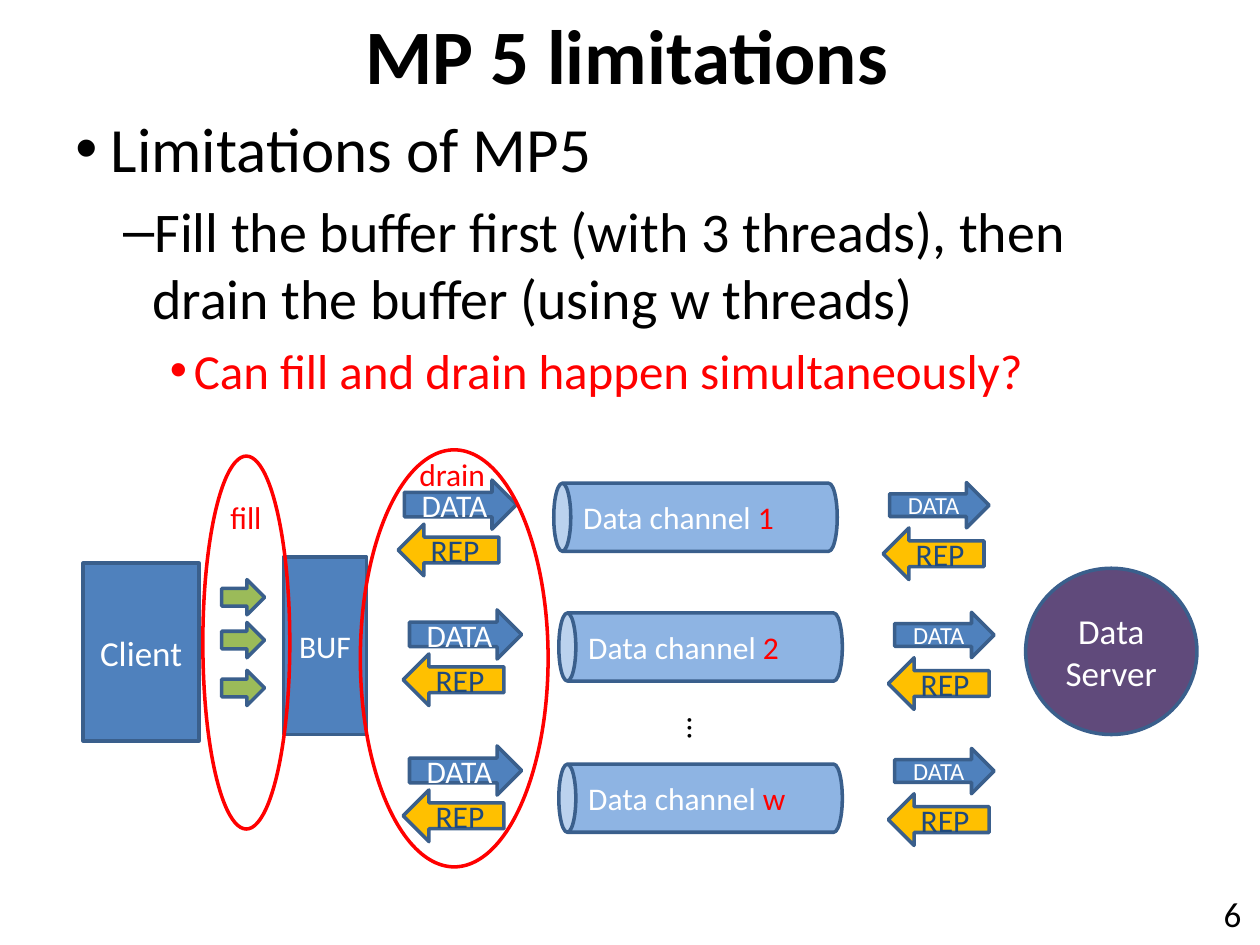
from lxml import etree
from pptx import Presentation
from pptx.dml.color import RGBColor
from pptx.enum.shapes import MSO_SHAPE
from pptx.enum.text import MSO_ANCHOR, PP_ALIGN
from pptx.oxml.ns import qn
from pptx.util import Inches, Pt

RECTANGLE, OVAL, CAN = MSO_SHAPE.RECTANGLE, MSO_SHAPE.OVAL, MSO_SHAPE.CAN
RIGHT_ARROW, LEFT_ARROW = MSO_SHAPE.RIGHT_ARROW, MSO_SHAPE.LEFT_ARROW
TOP, MIDDLE = MSO_ANCHOR.TOP, MSO_ANCHOR.MIDDLE
LEFT, CENTER, RIGHT = PP_ALIGN.LEFT, PP_ALIGN.CENTER, PP_ALIGN.RIGHT

BLACK, WHITE, RED = "000000", "FFFFFF", "FF0000"
BLUE, NAVY, OUTLINE = "4F81BD", "1F497D", "3A5F8C"
LIGHT_BLUE, PURPLE, GREEN, AMBER = "8EB4E3", "604A7B", "9BBB59", "FFC000"


def color(hex_text):
    return RGBColor.from_string(hex_text)


class Diagram:
    font = "Calibri"
    line_width = Pt(2)

    def __init__(self, slide):
        self.slide = slide

    def format_run(self, run, size, hex_text, bold=False):
        run.font.name = self.font
        run.font.size = Pt(size)
        run.font.bold = bold
        run.font.color.rgb = color(hex_text)

    def set_text(self, shape, text, size, hex_text, align, anchor, bold=False):
        frame = shape.text_frame
        frame.text = text
        frame.vertical_anchor = anchor
        for paragraph in frame.paragraphs:
            paragraph.alignment = align
            for run in paragraph.runs:
                self.format_run(run, size, hex_text, bold)

    def set_vertical(self, shape):
        shape.text_frame._txBody.bodyPr.set("vert", "eaVert")

    def shape(self, kind, box, fill=None, text="", size=18,
              text_color=WHITE, line=OUTLINE):
        shape = self.slide.shapes.add_shape(kind, *map(Inches, box))
        shape.shadow.inherit = False
        if fill:
            shape.fill.solid()
            shape.fill.fore_color.rgb = color(fill)
        else:
            shape.fill.background()
        shape.line.color.rgb = color(line)
        shape.line.width = self.line_width
        if text:
            self.set_text(shape, text, size, text_color, CENTER, MIDDLE)
        return shape

    def channel(self, box, name):
        can = self.shape(CAN, box, LIGHT_BLUE, "Data channel ")
        can.rotation = 270
        self.set_vertical(can)
        run = can.text_frame.paragraphs[0].add_run()
        run.text = name
        self.format_run(run, 18, RED)

    def label(self, box, text, size=18, hex_text=BLACK, align=LEFT,
              anchor=TOP, bold=False, wrap=False):
        label = self.slide.shapes.add_textbox(*map(Inches, box))
        label.text_frame.word_wrap = wrap
        self.set_text(label, text, size, hex_text, align, anchor, bold)
        return label

    def add_text_shadow(self, label):
        for run in label.text_frame.paragraphs[0].runs:
            effects = etree.Element(qn("a:effectLst"))
            shadow = etree.SubElement(effects, qn("a:outerShdw"), blurRad="38100",
                                      dist="38100", dir="2700000", algn="tl")
            black = etree.SubElement(shadow, qn("a:srgbClr"), val=BLACK)
            etree.SubElement(black, qn("a:alpha"), val="43000")
            run.font._element.find(qn("a:latin")).addprevious(effects)

    def bullets(self, box, items):
        body = self.slide.shapes.add_textbox(*map(Inches, box))
        frame = body.text_frame
        frame.word_wrap = True
        frame.text = "\n".join(item[0] for item in items)
        for level, (paragraph, item) in enumerate(zip(frame.paragraphs, items)):
            _, size, hex_text, mark, margin, hanging = item
            paragraph.level = level
            paragraph.space_before = Pt(size * 0.2)
            self.format_run(paragraph.runs[0], size, hex_text)
            properties = paragraph._p.get_or_add_pPr()
            properties.set("marL", str(Inches(margin)))
            properties.set("indent", str(-Inches(hanging)))
            etree.SubElement(properties, qn("a:buFont"), typeface="Arial")
            etree.SubElement(properties, qn("a:buChar"), char=mark)


def main():
    presentation = Presentation()
    presentation.slide_width, presentation.slide_height = Inches(10), Inches(7.5)
    slide = presentation.slides.add_slide(presentation.slide_layouts[6])
    diagram = Diagram(slide)

    # Title, bullets and page number
    title = diagram.label((0.17, 0.02, 9.61, 0.81), "MP 5 limitations", 44,
                          align=CENTER, anchor=MIDDLE, bold=True, wrap=True)
    diagram.add_text_shadow(title)
    diagram.bullets((0.5, 0.82, 9, 6.16), [
        ("Limitations of MP5", 36, BLACK, "•", 0.28, 0.28),
        ("Fill the buffer first (with 3 threads), then drain the buffer "
         "(using w threads)", 32, BLACK, "–", 0.61, 0.23),
        ("Can fill and drain happen simultaneously?", 28, RED, "•", 0.94, 0.19),
    ])
    diagram.label((7.62, 7.05, 2.33, 0.4), "6", 20, align=RIGHT,
                  anchor=MIDDLE, wrap=True)

    # Client, buffer and server
    diagram.shape(RECTANGLE, (0.66, 4.47, 0.92, 1.41), BLUE, "Client", 20)
    diagram.shape(RECTANGLE, (2.25, 4.42, 0.66, 1.41), BLUE, "BUF")
    diagram.shape(OVAL, (8.14, 4.51, 1.36, 1.32), PURPLE, "Data\nServer", 20)

    # Channels, each with requests and replies on both sides
    rows = [("1", 5.25, 2.98, 3.81), ("2", 5.29, 4.01, 4.84), ("w", 5.29, 5.21, 5.92)]
    for name, can_left, can_top, top in rows:
        diagram.channel((can_left, can_top, 0.54, 2.25), name)
        left = can_left - 2.04
        diagram.shape(RIGHT_ARROW, (left, top, 0.89, 0.39), BLUE, "DATA")
        diagram.shape(LEFT_ARROW, (left - 0.05, top + 0.35, 0.8, 0.41),
                      AMBER, "REP", text_color=NAVY)
        diagram.shape(RIGHT_ARROW, (left + 3.85, top + 0.02, 0.79, 0.36),
                      BLUE, "DATA", 14)
        diagram.shape(LEFT_ARROW, (left + 3.8, top + 0.38, 0.8, 0.41),
                      AMBER, "REP", text_color=NAVY)
    ellipsis = diagram.label((5.26, 5.6, 0.5, 0.27), "…")
    diagram.set_vertical(ellipsis)

    # Fill threads
    for top in (4.6, 4.94, 5.32):
        diagram.shape(RIGHT_ARROW, (1.76, top, 0.34, 0.28), GREEN)

    # Fill and drain phases
    diagram.shape(OVAL, (1.61, 3.62, 0.69, 2.96), line=RED)
    diagram.shape(OVAL, (2.86, 3.57, 1.49, 3.31), line=RED)
    diagram.label((1.73, 3.9, 0.45, 0.4), "fill", hex_text=RED)
    diagram.label((3.23, 3.56, 0.73, 0.4), "drain", hex_text=RED)

    presentation.save("out.pptx")


if __name__ == "__main__":
    main()
